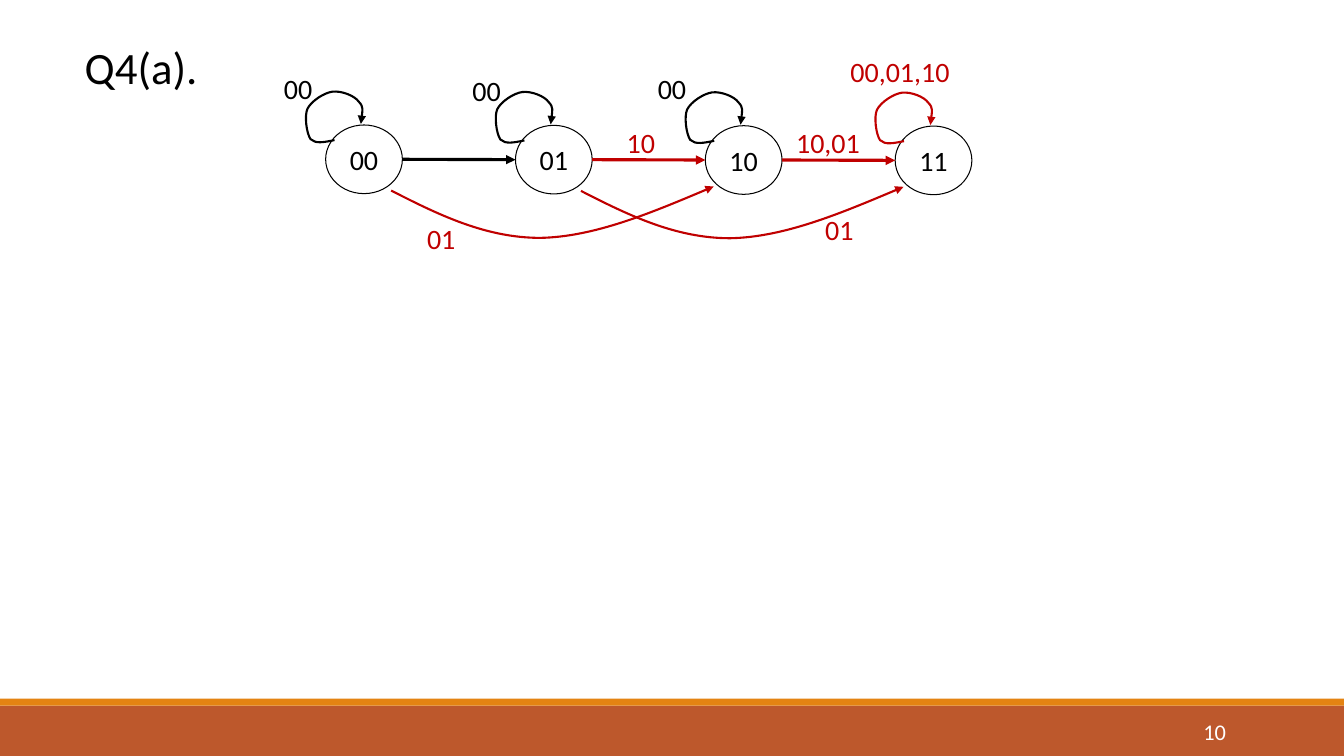
"""Build the state-transition diagram slide for Q4(a)."""
from dataclasses import dataclass

from lxml.etree import SubElement
from pptx import Presentation
from pptx.dml.color import RGBColor
from pptx.enum.shapes import MSO_CONNECTOR, MSO_SHAPE
from pptx.enum.text import MSO_ANCHOR, MSO_AUTO_SIZE, PP_ALIGN
from pptx.oxml.ns import qn
from pptx.util import Pt


@dataclass(frozen=True)
class Theme:
    font: str = "Calibri"
    title_size: int = 32
    label_size: int = 20
    number_size: int = 16
    ink: str = "000000"
    accent: str = "C00000"
    paper: str = "FFFFFF"
    footer: str = "BD582C"
    stripe: str = "E48312"


THEME = Theme()
TITLE = "Q4(a)."
SLIDE_NUMBER = "10"
STATES = ["00", "01", "10", "11"]
LOOP_COLORS = [THEME.ink, THEME.ink, THEME.ink, THEME.accent]
STEP_COLORS = [THEME.ink, THEME.accent, THEME.accent]
SKIP_STARTS = [0, 1]
LABELS = [
    ("00", 193, 50.4, 40, THEME.ink),
    ("00", 327.6, 51.8, 40, THEME.ink),
    ("00", 460, 50.4, 40, THEME.ink),
    ("00,01,10", 594.7, 38.2, 96.5, THEME.accent),
    ("01", 295.2, 157.7, 40, THEME.accent),
    ("01", 579.6, 151.2, 40, THEME.accent),
    ("10", 437.8, 88.6, 40, THEME.accent),
    ("10,01", 558, 88.6, 67, THEME.accent),
]
BANDS = [(504, 36, THEME.footer), (499, 5, THEME.stripe)]

SLIDE_W, SLIDE_H = 960, 540
FIRST_X, FIRST_Y, STEP_X, STEP_Y = 232.6, 89.3, 135.6, 0.25
STATE_W, STATE_H = 54.8, 49
LOOP_CURVE = [
    (6.4, 10.8),
    (-0.8, 12.2), (-7.2, 13.7), (-10.8, 10.1),
    (-13.7, 5.7), (-15.2, -6.5), (-13, -11.5),
    (-10.1, -17.3), (-0.8, -23.1), (5, -23.8),
    (11.5, -24.5), (20.8, -20.9), (23.7, -16.6),
    (27.3, -13), (25.9, -7.2), (25.2, -0.7),
]
SKIP_CURVE = [
    (46.8, 46.8),
    (80.6, 64.1), (114.4, 80.6), (153.3, 80.6),
    (191.5, 79.9), (234.7, 61.9), (277.2, 43.9),
]


def color(code):
    """Return an RGB colour."""
    return RGBColor.from_string(code)


def origin(index):
    """Return the top left corner of a state."""
    return FIRST_X + index * STEP_X, FIRST_Y + index * STEP_Y


def write(frame, words, size, code, align, anchor=MSO_ANCHOR.TOP, inset=None):
    """Fill a text frame with one formatted paragraph."""
    frame.auto_size = MSO_AUTO_SIZE.NONE
    frame.word_wrap = True
    frame.vertical_anchor = anchor
    if inset is not None:
        frame.margin_left = frame.margin_right = Pt(inset)
        frame.margin_top = frame.margin_bottom = Pt(inset)
    paragraph = frame.paragraphs[0]
    paragraph.text = words
    paragraph.alignment = align
    paragraph.font.name = THEME.font
    paragraph.font.size = Pt(size)
    paragraph.font.color.rgb = color(code)


def add_arrowhead(arrow, code, width):
    """Style a line and end it with a triangle."""
    arrow.line.color.rgb = color(code)
    arrow.line.width = Pt(width)
    outline = arrow.element.find(".//" + qn("a:ln"))
    SubElement(outline, qn("a:tailEnd"), type="triangle")


def add_curve(shapes, index, points, code):
    """Draw a curved arrow whose points are relative to a state."""
    left, top = origin(index)
    start, *rest = [(Pt(left + x), Pt(top + y)) for x, y in points]
    builder = shapes.build_freeform(*start)
    builder.add_line_segments(rest, close=False)
    curve = builder.convert_to_shape()
    curve.shadow.inherit = False
    curve.fill.background()
    add_arrowhead(curve, code, 1.5)
    outline = curve.element.find(".//" + qn("a:path"))
    segments = outline.findall(qn("a:lnTo"))
    for first in range(0, len(segments), 3):
        bezier = SubElement(outline, qn("a:cubicBezTo"))
        for segment in segments[first:first + 3]:
            bezier.append(segment[0])
            outline.remove(segment)


def add_state(shapes, index, name):
    """Draw one state circle with its name."""
    left, top = origin(index)
    state = shapes.add_shape(
        MSO_SHAPE.OVAL, Pt(left), Pt(top), Pt(STATE_W), Pt(STATE_H))
    state.shadow.inherit = False
    state.fill.solid()
    state.fill.fore_color.rgb = color(THEME.paper)
    state.line.color.rgb = color(THEME.ink)
    state.line.width = Pt(0.75)
    write(state.text_frame, name, THEME.label_size, THEME.ink,
          PP_ALIGN.CENTER, MSO_ANCHOR.MIDDLE, 0)


def add_step(shapes, index, code):
    """Draw the straight arrow from a state to the next one."""
    left, top = origin(index)
    next_left, next_top = origin(index + 1)
    step = shapes.add_connector(
        MSO_CONNECTOR.STRAIGHT, Pt(left + STATE_W), Pt(top + STATE_H / 2),
        Pt(next_left), Pt(next_top + STATE_H / 2))
    add_arrowhead(step, code, 2.25)
    SubElement(step.element.spPr, qn("a:effectLst"))


def main():
    """Compose and save the slide."""
    deck = Presentation()
    deck.slide_width, deck.slide_height = Pt(SLIDE_W), Pt(SLIDE_H)
    slide = deck.slides.add_slide(deck.slide_layouts[5])
    shapes = slide.shapes

    title = shapes.title
    title.left, title.top = Pt(53.3), Pt(24.5)
    title.width, title.height = Pt(102.2), Pt(51.8)
    write(title.text_frame, TITLE, THEME.title_size, THEME.ink, PP_ALIGN.LEFT)

    for top, height, code in BANDS:
        band = shapes.add_shape(
            MSO_SHAPE.RECTANGLE, 0, Pt(top), Pt(SLIDE_W), Pt(height))
        band.shadow.inherit = False
        band.fill.solid()
        band.fill.fore_color.rgb = color(code)
        band.line.fill.background()

    number = shapes.add_textbox(Pt(779.8), Pt(508.3), Pt(103), Pt(28.8))
    write(number.text_frame, SLIDE_NUMBER, THEME.number_size, THEME.paper,
          PP_ALIGN.RIGHT, MSO_ANCHOR.MIDDLE)

    for index, name in enumerate(STATES):
        add_state(shapes, index, name)
    for index, code in enumerate(STEP_COLORS):
        add_step(shapes, index, code)
    for index, code in enumerate(LOOP_COLORS):
        add_curve(shapes, index, LOOP_CURVE, code)
    for index in SKIP_STARTS:
        add_curve(shapes, index, SKIP_CURVE, THEME.accent)

    for words, left, top, width, code in LABELS:
        label = shapes.add_textbox(Pt(left), Pt(top), Pt(width), Pt(26))
        write(label.text_frame, words, THEME.label_size, code,
              PP_ALIGN.CENTER, inset=0.7)

    deck.save("out.pptx")


if __name__ == "__main__":
    main()
